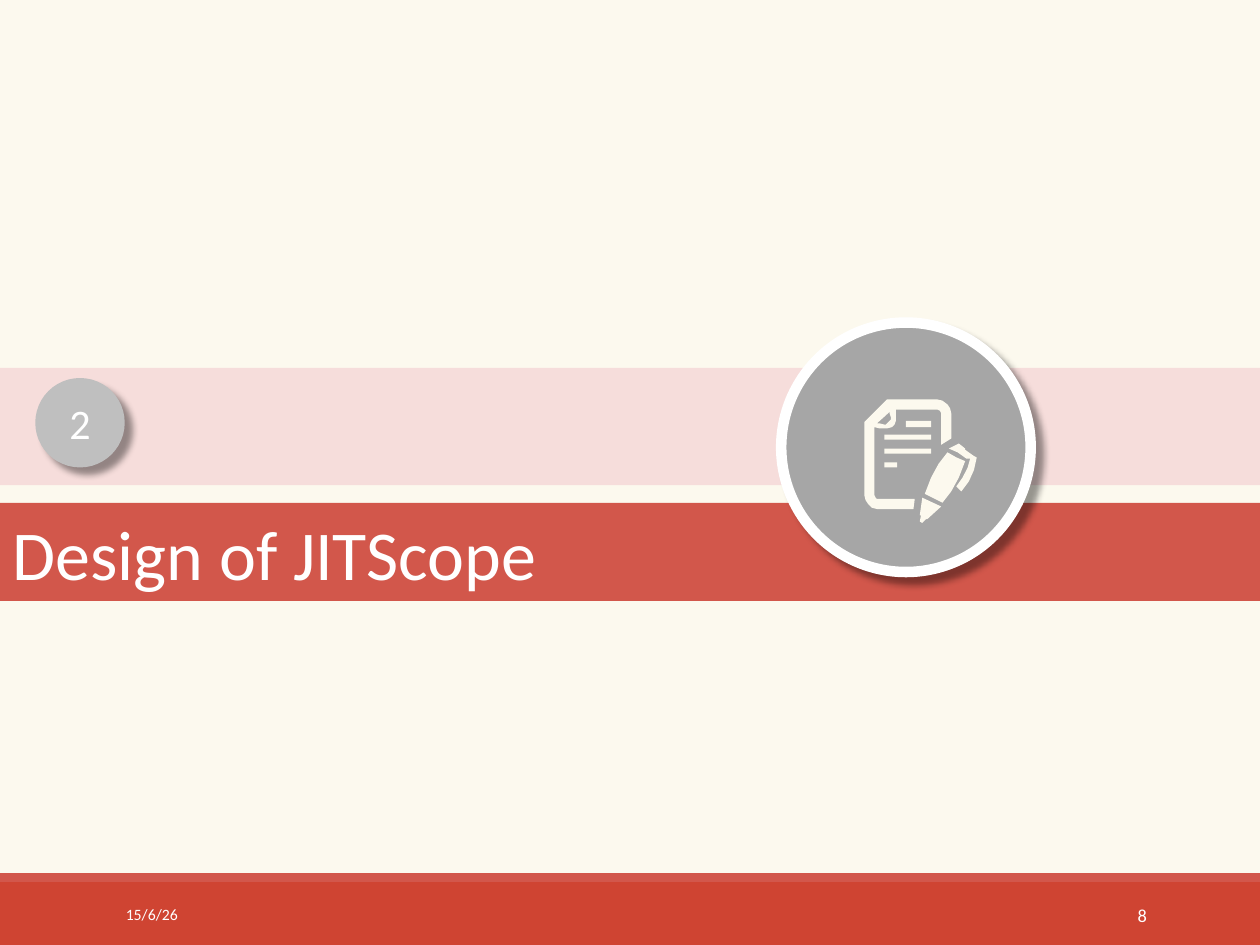
from lxml import etree
from pptx import Presentation
from pptx import util as u
from pptx.dml.color import RGBColor
from pptx.enum import shapes, text
from pptx.oxml.ns import qn

PX = 9144  # 100 px to the inch
FONT = "Calibri"
CREAM, RED, WHITE = "FCF9EE", "D2574B", "FFFFFF"


def paint(fill, color):
    fill.solid()
    fill.fore_color.rgb = RGBColor.from_string(color)


def write(shape, words, size, align, anchor):
    frame = shape.text_frame
    frame.text = words
    frame.word_wrap = True
    frame.auto_size = text.MSO_AUTO_SIZE.NONE
    frame.vertical_anchor = anchor
    paragraph = frame.paragraphs[0]
    paragraph.alignment = align
    font = paragraph.runs[0].font
    font.name, font.size = FONT, u.Pt(size)
    paint(font.fill, WHITE)


presentation = Presentation()
presentation.slide_width, presentation.slide_height = 1000 * PX, 750 * PX
slide = presentation.slides.add_slide(presentation.slide_layouts[5])
paint(slide.background.fill, CREAM)
LEFT, CENTER, RIGHT = text.PP_ALIGN.LEFT, text.PP_ALIGN.CENTER, text.PP_ALIGN.RIGHT
TOP, MIDDLE, BOTTOM = text.MSO_ANCHOR.TOP, text.MSO_ANCHOR.MIDDLE, text.MSO_ANCHOR.BOTTOM

# Full-width bands: footer, footer edge, pale section band
for top, height, color in [(700, 50, "CF4432"), (693, 7, RED), (292, 93, "F6DDDB")]:
    band = slide.shapes.add_shape(shapes.MSO_SHAPE.RECTANGLE, 0, top * PX, 1000 * PX, height * PX)
    band.shadow.inherit = False
    paint(band.fill, color)
    band.line.fill.background()

# Footer date and page number
for left, width, words, size, align in [(90, 203, "15/6/26", 9, LEFT), (812, 108, "8", 10.5, RIGHT)]:
    box = slide.shapes.add_textbox(left * PX, 706 * PX, width * PX, 40 * PX)
    write(box, words, size, align, MIDDLE)

# Title band
title = slide.shapes.title
title.left, title.top, title.width, title.height = 0, 399 * PX, 1000 * PX, 78 * PX
paint(title.fill, RED)
write(title, "Design of JITScope", 40, LEFT, BOTTOM)

# Icon disc and section number disc, both with a soft shadow
discs = []
for left, top, size, color in [(620, 256, 198, "A6A6A6"), (28, 300, 71, "BFBFBF")]:
    disc = slide.shapes.add_shape(shapes.MSO_SHAPE.OVAL, left * PX, top * PX, size * PX, size * PX)
    paint(disc.fill, color)
    disc.line.fill.background()
    discs.append(disc)
icon_disc, number_disc = discs
paint(icon_disc.line.fill, WHITE)
icon_disc.line.width = u.Pt(6)
write(number_disc, "2", 24, CENTER, TOP)
for disc in discs:
    disc.shadow.inherit = False
    effects = disc._element.spPr.find(qn("a:effectLst"))
    shadow = etree.SubElement(effects, qn("a:outerShdw"), blurRad=str(u.Pt(4)), dist=str(u.Pt(6)),
                              dir=str(45 * 60000), algn="tl", rotWithShape="0")
    shadow_color = etree.SubElement(shadow, qn("a:srgbClr"), val="000000")
    etree.SubElement(shadow_color, qn("a:alpha"), val="40000")

# Document-and-pen icon, one outline per part
page = [(706, 317), (744, 317), (748, 318), (752, 321), (754, 324), (755, 328), (755, 348),
        (747, 353), (747, 328), (746, 326), (744, 325), (711, 325), (711, 331), (711, 334),
        (710, 337), (708, 339), (704, 340), (698, 340), (694, 339), (694, 393), (695, 395),
        (696, 396), (726, 396), (725, 404), (696, 404), (692, 403), (689, 400), (687, 397),
        (686, 393), (686, 335), (687, 334), (703, 318), (704, 317)]
clip = [(766, 357), (766, 356), (761, 352), (753, 356), (760, 359), (767, 364), (770, 364),
        (768, 371), (764, 379), (759, 386), (763, 390), (769, 382), (773, 373), (775, 364),
        (775, 363), (773, 362)]
barrel = [(752, 359), (745, 368), (739, 379), (734, 392), (748, 399), (755, 390), (761, 379),
          (766, 366), (759, 363)]
nib = [(732, 395), (730, 409), (731, 409), (730, 414), (732, 415), (735, 412), (736, 412), (747, 402)]
fold = [(696, 336), (698, 336), (702, 337), (703, 337), (705, 335), (707, 333), (707, 331),
        (706, 328), (706, 327)]
text_lines = [[(left, top), (left, bottom), (right, bottom), (right, top)]
              for left, right, top, bottom in [(702, 712, 367, 371), (702, 739, 356, 360),
                                               (702, 739, 345, 349), (719, 739, 334, 339)]]
builder = slide.shapes.build_freeform(*page[0], scale=PX)
for outline in [page, clip, barrel, nib, fold] + text_lines:
    if outline is not page:
        builder.move_to(*outline[0])
    builder.add_line_segments(outline[1:], close=True)
icon = builder.convert_to_shape()
icon.shadow.inherit = False
paint(icon.fill, CREAM)
icon.line.fill.background()

presentation.save("out.pptx")
